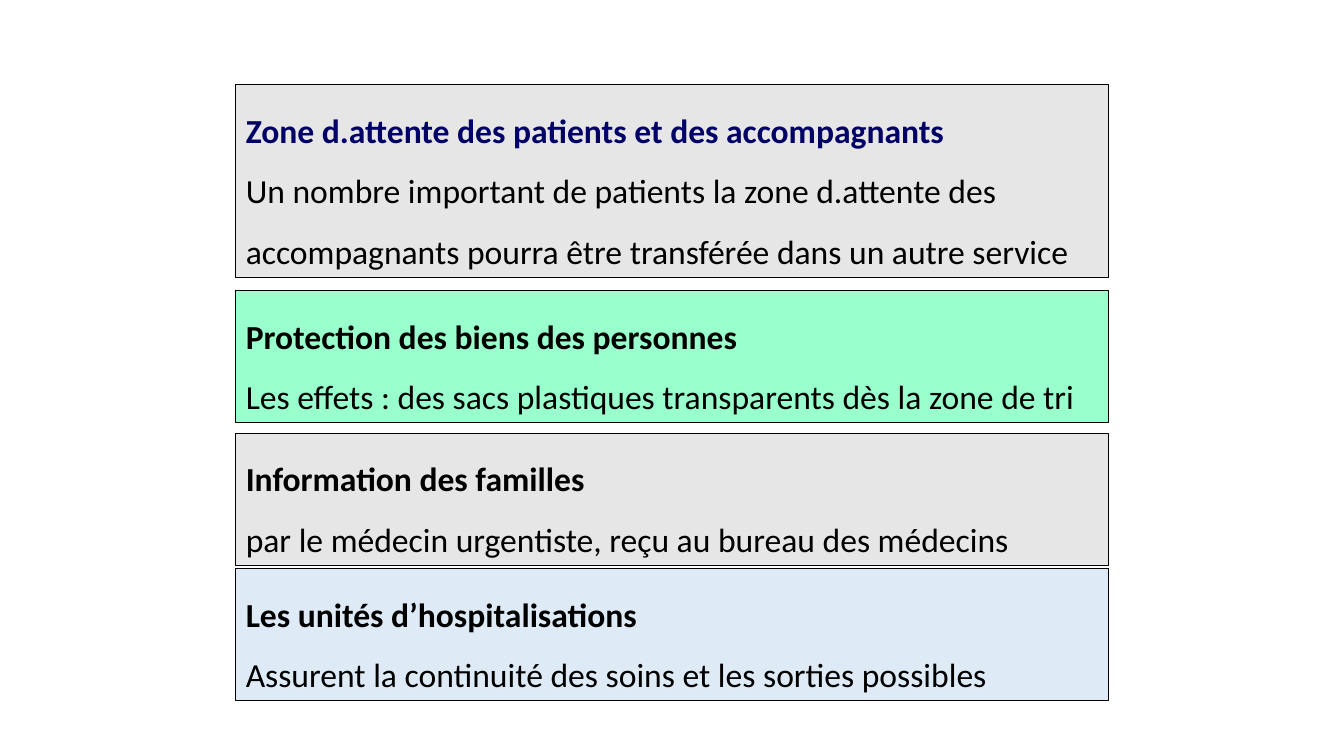
import pptx
import pptx.dml.color
import pptx.enum.shapes
import pptx.enum.text
import pptx.util

Pt = pptx.util.Pt


def rgb(value):
    return pptx.dml.color.RGBColor.from_string(value)


def write(p, text, font="Calibri", size=24, color="000000", bold=False):
    p.alignment = pptx.enum.text.PP_ALIGN.LEFT
    p.line_spacing = 1.5
    r = p.add_run()
    r.text = text
    r.font.name = font
    r.font.size = Pt(size)
    r.font.bold = bold
    r.font.color.rgb = rgb(color)


class Deck:
    left = 168.5
    width = 623.5
    line_color = "000000"
    line_width = 0.75

    def __init__(self):
        self.prs = pptx.Presentation()
        self.prs.slide_width = Pt(960)
        self.prs.slide_height = Pt(540)
        self.s = self.prs.slides.add_slide(self.prs.slide_layouts[6])

    def panel(self, top, height, fill, heading, body, heading_color="000000"):
        sp = self.s.shapes.add_shape(
            pptx.enum.shapes.MSO_SHAPE.RECTANGLE,
            Pt(self.left), Pt(top), Pt(self.width), Pt(height))
        sp.shadow.inherit = False
        sp.fill.solid()
        sp.fill.fore_color.rgb = rgb(fill)
        sp.line.color.rgb = rgb(self.line_color)
        sp.line.width = Pt(self.line_width)
        tf = sp.text_frame
        tf.word_wrap = True
        tf.auto_size = pptx.enum.text.MSO_AUTO_SIZE.SHAPE_TO_FIT_TEXT
        tf.vertical_anchor = pptx.enum.text.MSO_ANCHOR.TOP
        write(tf.paragraphs[0], heading, color=heading_color, bold=True)
        write(tf.add_paragraph(), body)


def main():
    deck = Deck()
    deck.panel(60.5, 138, "E7E6E6",
               "Zone d.attente des patients et des accompagnants",
               "Un nombre important de patients la zone d.attente des "
               "accompagnants pourra être transférée dans un autre service",
               heading_color="000066")
    short_panels = [
        (207.5, "99FFCC", "Protection des biens des personnes",
         "Les effets : des sacs plastiques transparents dès la zone de tri"),
        (309.5, "E7E6E6", "Information des familles",
         "par le médecin urgentiste, reçu au bureau des médecins"),
        (406, "DEEBF7", "Les unités d’hospitalisations",
         "Assurent la continuité des soins et les sorties possibles"),
    ]
    for top, fill, heading, body in short_panels:
        deck.panel(top, 94.5, fill, heading, body)
    deck.prs.save("out.pptx")


if __name__ == "__main__":
    main()
